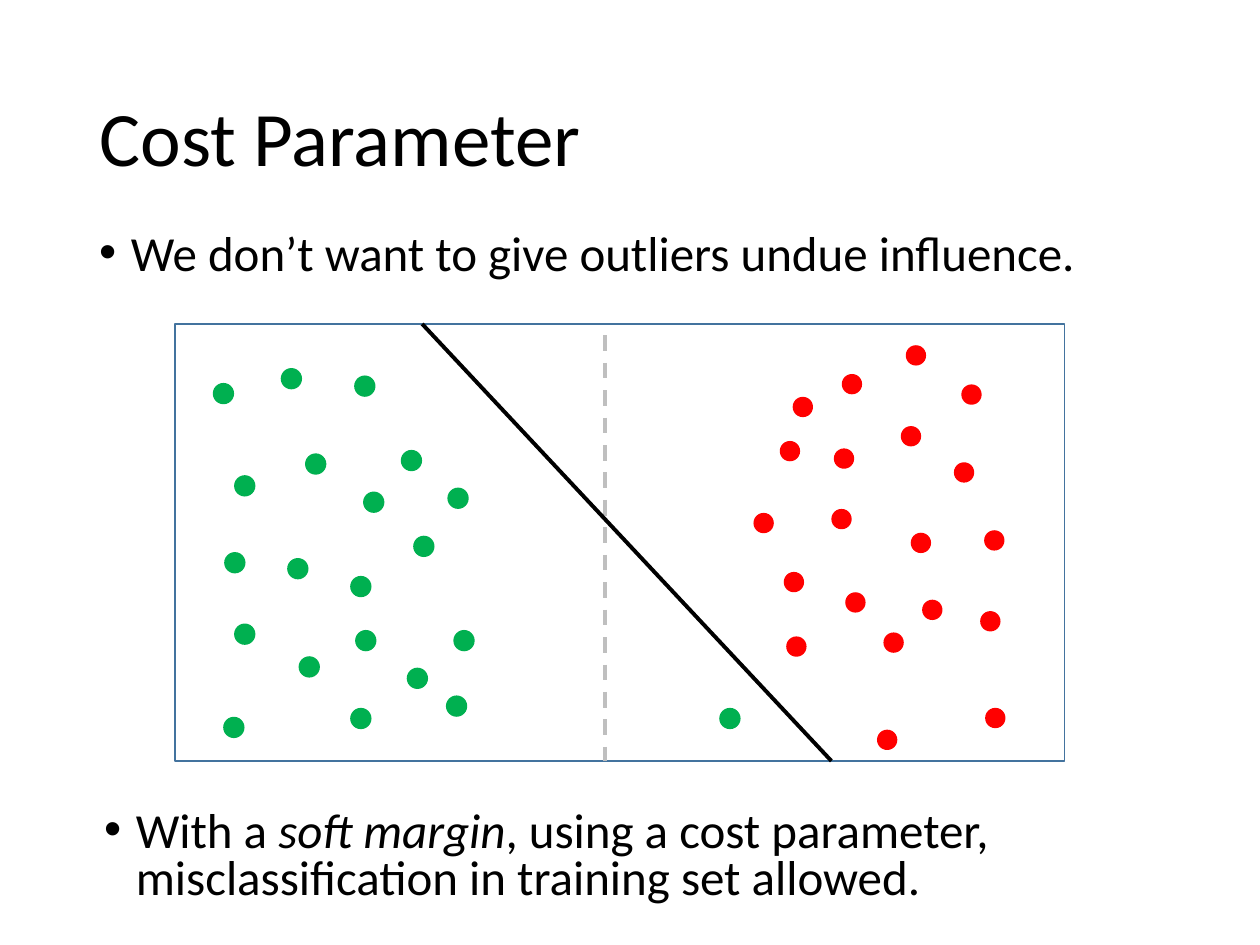
import pptx
import pptx.util
import pptx.dml.color
import pptx.enum.dml
import pptx.enum.shapes
import pptx.enum.text
from lxml import etree
from pptx.oxml.ns import qn
from pptx.util import Cm

COLORS = {"text": "000000", "frame": "43739E", "green": "00B050",
          "red": "FF0000", "margin": "BFBFBF"}


def rgb(name):
    return pptx.dml.color.RGBColor.from_string(COLORS[name])


def write(tf, runs, size=28, spacing=0.8, before=0, bullet=False, anchor="TOP"):
    """Fill a text frame with one paragraph of (text, italic) runs."""
    tf.word_wrap = True
    tf.auto_size = pptx.enum.text.MSO_AUTO_SIZE.NONE
    tf.vertical_anchor = pptx.enum.text.MSO_ANCHOR[anchor]
    p = tf.paragraphs[0]
    p.alignment = pptx.enum.text.PP_ALIGN.LEFT
    p.line_spacing = spacing
    p.space_before = pptx.util.Pt(before)
    if bullet:
        pPr = p._p.get_or_add_pPr()
        pPr.set("marL", str(Cm(0.64)))
        pPr.set("indent", str(-Cm(0.64)))
        etree.SubElement(pPr, qn("a:buFont")).set("typeface", "Arial")
        etree.SubElement(pPr, qn("a:buChar")).set("char", "•")
    for text, italic in runs:
        r = p.add_run()
        r.text = text
        r.font.name = "Calibri"
        r.font.size = pptx.util.Pt(size)
        r.font.italic = italic
        r.font.color.rgb = rgb("text")


prs = pptx.Presentation()
prs.slide_width, prs.slide_height = Cm(25.4), Cm(19.05)
s = prs.slides.add_slide(prs.slide_layouts[5])

# Title
title = s.shapes.title
title.left, title.top, title.width, title.height = Cm(1.75), Cm(1.02), Cm(21.9), Cm(3.68)
write(title.text_frame, [("Cost Parameter", False)], size=44, spacing=0.9, anchor="MIDDLE")

# Bullets above and below the plot
bullets = [
    (1.75, 4.6, 1.3, [("We don’t want to give outliers undue influence.", False)]),
    (1.85, 16.23, 2.34, [
        ("With a ", False), ("soft margin", True),
        (", using a cost parameter, misclassification in training set allowed.", False)]),
]
for x, y, h, runs in bullets:
    tb = s.shapes.add_textbox(Cm(x), Cm(y), Cm(21.9), Cm(h))
    write(tb.text_frame, runs, before=10, bullet=True)

# Plot frame
plot = s.shapes.add_group_shape().shapes
frame = plot.add_shape(pptx.enum.shapes.MSO_SHAPE.RECTANGLE,
                       Cm(3.53), Cm(6.53), Cm(17.93), Cm(8.81))
frame.shadow.inherit = False
frame.fill.background()
frame.line.color.rgb = rgb("frame")
frame.line.width = pptx.util.Pt(1)

# Data points of the two classes: diameter, then left and top of each
classes = {
    "green": (0.43, [
        (8.08, 9.07), (7.06, 11.61), (4.29, 7.72), (6.15, 9.14), (5.66, 7.42),
        (4.72, 9.58), (7.14, 7.57), (9.02, 9.83), (7.32, 9.91), (8.33, 10.8),
        (14.5, 14.27), (9.14, 12.7), (6.02, 13.23), (5.79, 11.25), (4.5, 14.45),
        (4.52, 11.13), (4.72, 12.57), (7.16, 12.7), (8.99, 14.02), (7.06, 14.27),
        (8.2, 13.46)]),
    "red": (0.41, [
        (19.84, 10.69), (17.68, 14.71), (15.8, 11.53), (15.85, 12.83), (16.76, 10.26),
        (17.81, 12.75), (19.23, 9.32), (19.76, 12.32), (18.59, 12.09), (19.86, 14.27),
        (19.38, 7.75), (17.04, 11.94), (15.98, 8), (15.19, 10.34), (16.97, 7.54),
        (15.72, 8.89), (18.26, 6.96), (18.16, 8.59), (16.81, 9.04), (18.36, 10.74)]),
}
for color, (d, points) in classes.items():
    for x, y in points:
        dot = plot.add_shape(pptx.enum.shapes.MSO_SHAPE.OVAL, Cm(x), Cm(y), Cm(d), Cm(d))
        dot.shadow.inherit = False
        dot.fill.solid()
        dot.fill.fore_color.rgb = rgb(color)
        dot.line.fill.background()

# Soft boundary (dashed) and the boundary forced by the outlier
boundaries = [
    (12.19, 6.76, 12.19, 15.34, "margin", pptx.enum.dml.MSO_LINE.DASH),
    (8.51, 6.53, 16.76, 15.34, "text", None),
]
for x1, y1, x2, y2, color, dash in boundaries:
    ln = plot.add_connector(pptx.enum.shapes.MSO_CONNECTOR.STRAIGHT,
                            Cm(x1), Cm(y1), Cm(x2), Cm(y2))
    ln.line.color.rgb = rgb(color)
    ln.line.width = pptx.util.Pt(2.25)
    ln.line.dash_style = dash
    etree.SubElement(ln._element.spPr, qn("a:effectLst"))

prs.save("out.pptx")
